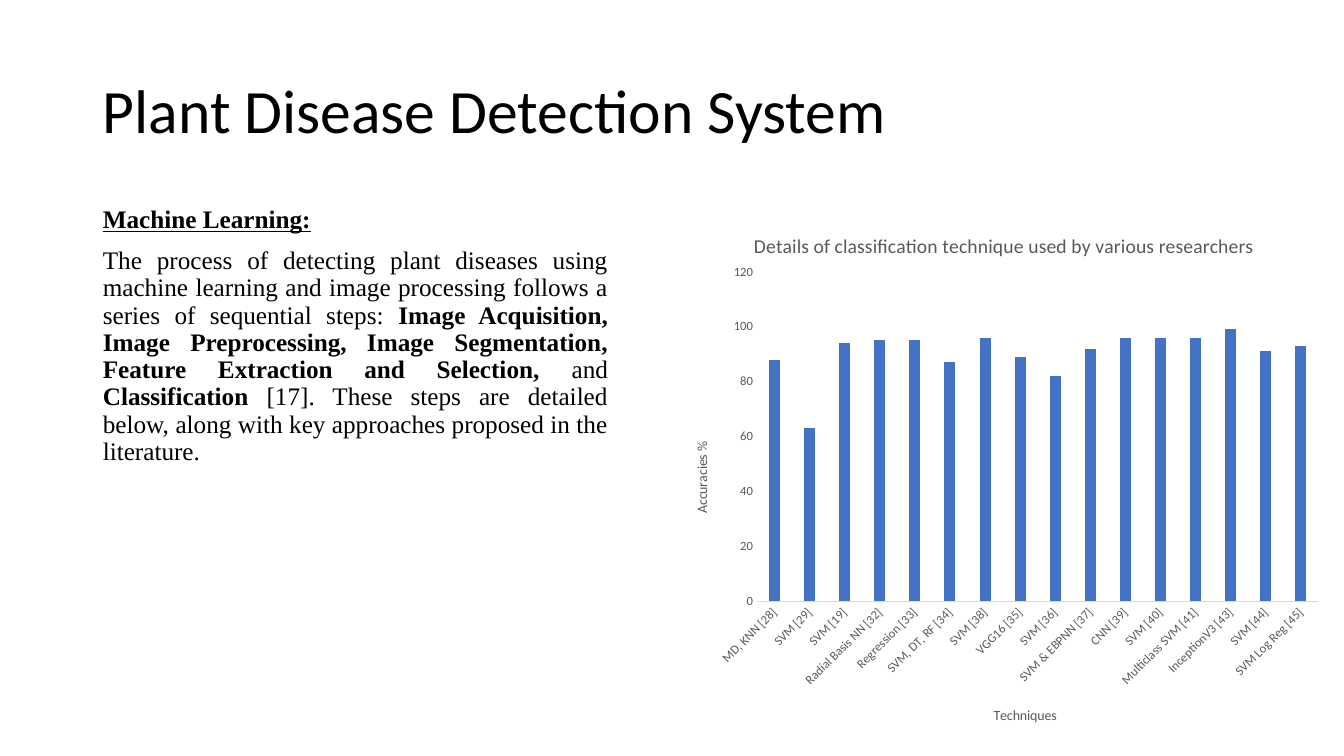
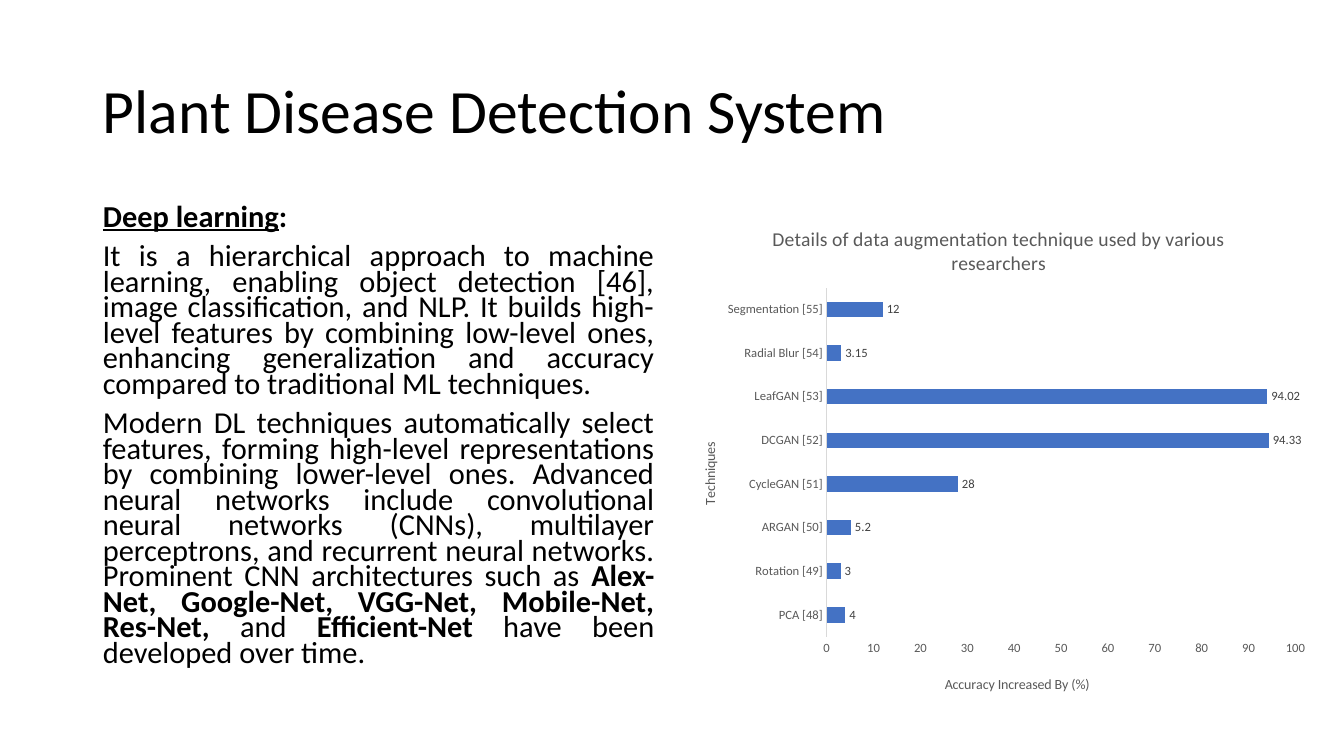
from lxml import etree
from pptx import Presentation
from pptx.chart.data import CategoryChartData
from pptx.dml.color import RGBColor
from pptx.enum import chart as charts, text
from pptx.oxml.ns import qn
from pptx.util import Inches, Pt

BLACK = RGBColor(0x00, 0x00, 0x00)
GREY = RGBColor(0x59, 0x59, 0x59)
LABEL_GREY = RGBColor(0x40, 0x40, 0x40)
AXIS_GREY = RGBColor(0xD9, 0xD9, 0xD9)
BLUE = RGBColor(0x44, 0x72, 0xC4)
TITLE = "Plant Disease Detection System"
TITLE_FONT = "Calibri"


def set_font(font, size, color, name=TITLE_FONT, bold=False, underline=False):
    font.size, font.name = Pt(size), name
    font.bold, font.underline = bold, underline
    font.color.rgb = color


def place(element, **fractions):
    """Pin a chart part at fractions of the chart area."""
    layout = element.find(qn("c:layout"))
    if layout is not None:
        element.remove(layout)
    layout = etree.Element(qn("c:layout"))
    element.insert(len(element.findall(qn("c:tx"))), layout)
    manual = etree.SubElement(layout, qn("c:manualLayout"))
    if "w" in fractions:
        etree.SubElement(manual, qn("c:layoutTarget")).set("val", "inner")
    for side in "xy":
        etree.SubElement(manual, qn(f"c:{side}Mode")).set("val", "edge")
    for key, value in fractions.items():
        etree.SubElement(manual, qn(f"c:{key}")).set("val", str(value))


# Content: each run is (text, style), where b is bold and u is underlined
machine_learning = {
    "font": "Times New Roman", "size": 18, "spacing": 0.9, "width": 5.21,
    "paragraphs": [
        [("Machine Learning:", "bu")],
        [("The process of detecting plant diseases using machine learning and image "
          "processing follows a series of sequential steps: ", ""),
         ("Image Acquisition, Image Preprocessing, Image Segmentation, "
          "Feature Extraction and Selection, ", "b"),
         ("and ", ""),
         ("Classification", "b"),
         (" [17]. These steps are detailed below, along with key approaches "
          "proposed in the literature.", "")],
    ],
    "chart_type": charts.XL_CHART_TYPE.COLUMN_CLUSTERED,
    "chart_box": (6.58, 2, 6.63, 5.36),
    "chart_title": "Details of classification technique used by various researchers",
    "category_title": "Techniques", "value_title": "Accuracies %",
    "maximum": 120, "unit": 20, "gap": 219, "overlap": -27,
    "data": [
        ("MD, KNN [28]", 88), ("SVM [29]", 63), ("SVM [19]", 94),
        ("Radíal Basis NN [32]", 95), ("Regression [33]", 95), ("SVM, DT, RF [34]", 87),
        ("SVM [38]", 96), ("VGG16 [35]", 89), ("SVM [36]", 82),
        ("SVM & EBPNN [37]", 92), ("CNN [39]", 96), ("SVM [40]", 96),
        ("Multiclass SVM [41]", 96), ("InceptionV3 [43]", 99), ("SVM [44]", 91),
        ("SVM Log Reg [45]", 93),
    ],
    "plot": {"x": 0.14, "y": 0.13, "w": 0.84, "h": 0.61},
    "title_at": {"x": 0.13, "y": 0.05},
    "category_at": {"x": 0.49, "y": 0.93},
    "value_at": {"x": 0.04, "y": 0.44},
}
deep_learning = {
    "font": "Calibri", "size": 21.7, "spacing": 0.7, "width": 5.67,
    "paragraphs": [
        [("Deep learning", "bu"), (":", "b")],
        [("It is a hierarchical approach to machine learning, enabling object detection "
          "[46], image classification, and NLP. It builds high-level features by combining "
          "low-level ones, enhancing generalization and accuracy compared to traditional "
          "ML techniques.", "")],
        [("Modern DL techniques automatically select features, forming high-level "
          "representations by combining lower-level ones. Advanced neural networks include "
          "convolutional neural networks (CNNs), multilayer perceptrons, and recurrent "
          "neural networks. Prominent CNN architectures such as ", ""),
         ("Alex-Net, Google-Net, VGG-Net, Mobile-Net, Res-Net, ", "b"),
         ("and", ""),
         (" Efficient-Net", "b"),
         (" have been developed over time.", "")],
    ],
    "chart_type": charts.XL_CHART_TYPE.BAR_CLUSTERED,
    "chart_box": (6.67, 2, 6.37, 5.02),
    "chart_title": "Details of data augmentation technique used by various researchers",
    "category_title": "Techniques", "value_title": "Accuracy Increased By (%)",
    "maximum": 100, "unit": 10, "gap": 182, "overlap": 0,
    "data": [
        ("PCA [48]", 4), ("Rotation [49]", 3), ("ARGAN [50]", 5.2), ("CycleGAN [51]", 28),
        ("DCGAN [52]", 94.33), ("LeafGAN [53]", 94.02), ("Radial Blur [54]", 3.15),
        ("Segmentation [55]", 12),
    ],
    "plot": {"x": 0.24, "y": 0.17, "w": 0.73, "h": 0.69},
    "title_at": {"x": 0.15, "y": 0.04},
    "category_at": {"x": 0.04, "y": 0.47},
    "value_at": {"x": 0.42, "y": 0.93},
}

presentation = Presentation()
presentation.slide_width = Inches(13.33)
presentation.slide_height = Inches(7.5)

for topic in (machine_learning, deep_learning):
    slide = presentation.slides.add_slide(presentation.slide_layouts[1])
    is_column = topic["chart_type"] == charts.XL_CHART_TYPE.COLUMN_CLUSTERED

    # Title
    title = slide.shapes.title
    title.left, title.top, title.width, title.height = map(Inches, (0.92, 0.4, 11.5, 1.45))
    title.text_frame.text = TITLE
    title.text_frame.vertical_anchor = text.MSO_ANCHOR.MIDDLE
    paragraph = title.text_frame.paragraphs[0]
    paragraph.alignment = text.PP_ALIGN.LEFT
    paragraph.line_spacing = 0.9
    set_font(paragraph.runs[0].font, 44, BLACK)

    # Body text
    body = slide.placeholders[1]
    body.left, body.top, body.width, body.height = map(Inches, (0.92, 2, topic["width"], 4.76))
    frame = body.text_frame
    frame.auto_size = text.MSO_AUTO_SIZE.NONE
    for index, runs in enumerate(topic["paragraphs"]):
        paragraph = frame.add_paragraph() if index else frame.paragraphs[0]
        paragraph.alignment = text.PP_ALIGN.JUSTIFY
        paragraph.line_spacing = topic["spacing"]
        paragraph.space_before = Pt(10 if index else 0)
        properties = paragraph._p.get_or_add_pPr()
        properties.set("marL", "0")
        properties.set("indent", "0")
        etree.SubElement(properties, qn("a:buNone"))
        for words, style in runs:
            run = paragraph.add_run()
            run.text = words
            set_font(run.font, topic["size"], BLACK, topic["font"], "b" in style, "u" in style)

    # Chart
    chart_data = CategoryChartData()
    chart_data.categories = [name for name, value in topic["data"]]
    chart_data.add_series("Series 1", [value for name, value in topic["data"]])
    chart = slide.shapes.add_chart(
        topic["chart_type"], *map(Inches, topic["chart_box"]), chart_data).chart
    set_font(chart.font, 10, BLACK)
    chart.has_legend = False
    chart.has_title = True
    chart.chart_title.text_frame.text = topic["chart_title"]
    set_font(chart.chart_title.text_frame.paragraphs[0].runs[0].font, 14, GREY)
    place(chart.chart_title._element, **topic["title_at"])

    # Bars
    plot = chart.plots[0]
    plot.vary_by_categories = False
    plot.gap_width, plot.overlap = topic["gap"], topic["overlap"]
    fill = plot.series[0].format.fill
    fill.solid()
    fill.fore_color.rgb = BLUE
    if not is_column:
        plot.has_data_labels = True
        labels = plot.data_labels
        labels.show_value = True
        labels.position = charts.XL_LABEL_POSITION.OUTSIDE_END
        set_font(labels.font, 9, LABEL_GREY)

    # Axes
    axes = ((chart.category_axis, "category", not is_column),
            (chart.value_axis, "value", is_column))
    for axis, kind, is_vertical in axes:
        axis.has_major_gridlines = False
        axis.major_tick_mark = axis.minor_tick_mark = charts.XL_TICK_MARK.NONE
        set_font(axis.tick_labels.font, 9, GREY)
        frame = axis.axis_title.text_frame
        frame.text = topic[f"{kind}_title"]
        set_font(frame.paragraphs[0].runs[0].font, 10, GREY)
        if is_vertical:
            frame._txBody.bodyPr.set("rot", "-5400000")
            frame._txBody.bodyPr.set("vert", "horz")
        place(axis.axis_title._element, **topic[f"{kind}_at"])
    chart.category_axis.format.line.color.rgb = AXIS_GREY
    chart.category_axis.format.line.width = Pt(0.75)
    chart.value_axis.format.line.fill.background()
    chart.value_axis.minimum_scale = 0
    chart.value_axis.maximum_scale = topic["maximum"]
    chart.value_axis.major_unit = topic["unit"]
    if is_column:
        label_body = chart.category_axis._element.find(qn("c:txPr")).find(qn("a:bodyPr"))
        label_body.set("rot", "-2700000")
    place(chart._chartSpace.find(".//" + qn("c:plotArea")), **topic["plot"])

presentation.save("out.pptx")
